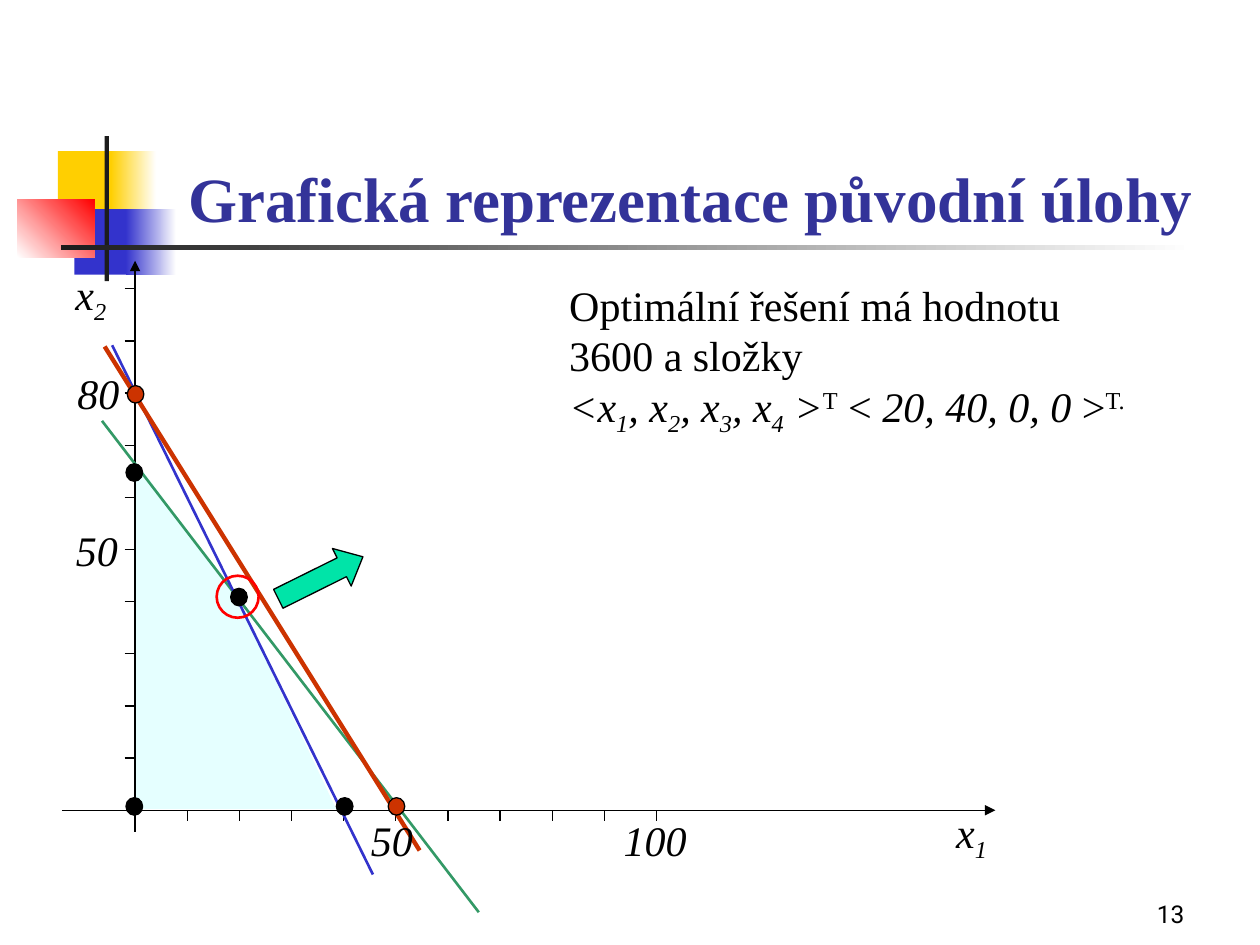
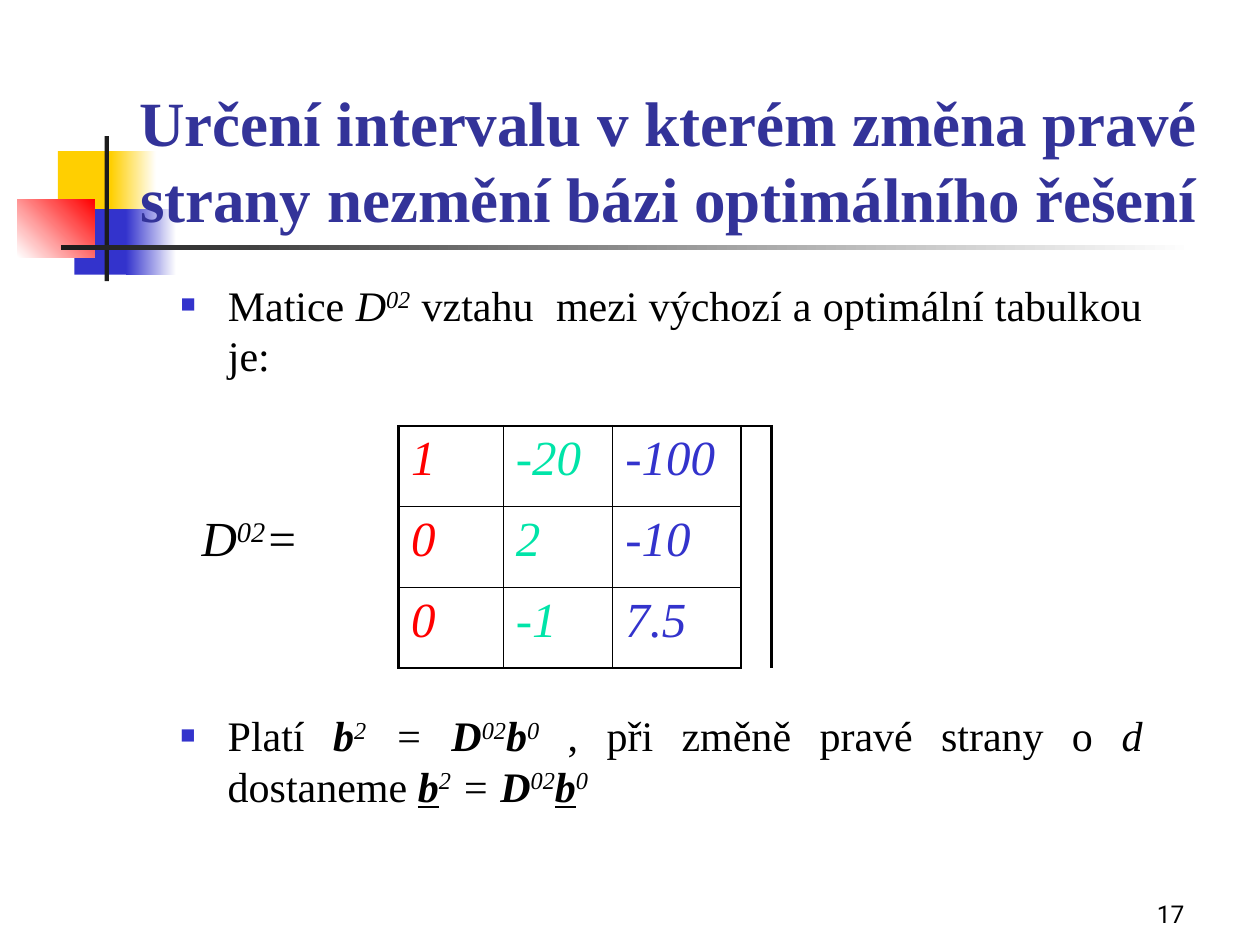
import pptx
import pptx.dml.color
import pptx.enum.dml
import pptx.enum.shapes
import pptx.enum.text
import pptx.oxml.ns
import pptx.util
from lxml import etree

Pt = pptx.util.Pt
qn = pptx.oxml.ns.qn
Shape = pptx.enum.shapes.MSO_SHAPE
Align = pptx.enum.text.PP_ALIGN
Anchor = pptx.enum.text.MSO_ANCHOR

BLACK, BLUE, RED, GREEN = "000000", "3333CC", "FF0000", "00E4A8"
YELLOW, WHITE, DARK, TITLE, RUST = "FFCF01", "FFFFFF", "1C1C1C", "333399", "CC3300"
SERIF = "Times New Roman"


def rgb(code):
    return pptx.dml.color.RGBColor.from_string(code)


def write(para, runs, size=24, color=BLACK, font=SERIF, align=Align.LEFT):
    para.alignment = align
    para.space_before = Pt(0)
    para.font.size = Pt(size)
    para.font.name = font
    para.font.color.rgb = rgb(color)
    para.font.bold = all("b" in marks for text, marks in runs)
    para.font.italic = all("i" in marks for text, marks in runs)
    for text, marks in runs:
        if text == "\n":
            para.add_line_break()
            continue
        span = para.add_run()
        span.text = text
        if "b" in marks and not para.font.bold:
            span.font.bold = True
        if "i" in marks and not para.font.italic:
            span.font.italic = True
        if "u" in marks:
            span.font.underline = True
        if "^" in marks:
            span._r.get_or_add_rPr().set("baseline", "30000")
        if "_" in marks:
            span._r.get_or_add_rPr().set("baseline", "-25000")


deck = pptx.Presentation()
deck.slide_width, deck.slide_height = Pt(720), Pt(540)
graph_page = deck.slides.add_slide(deck.slide_layouts[5])
matrix_page = deck.slides.add_slide(deck.slide_layouts[1])

master_tree = deck.slide_master.shapes.element
bands = [
    (33.1, 86.4, 34.6, 37.4, YELLOW, None, 0),
    (63.4, 86.4, 25.9, 37.4, YELLOW, WHITE, 0),
    (42.5, 119.5, 33.1, 37.4, BLUE, None, 0),
    (72, 119.5, 28.8, 37.4, BLUE, WHITE, 0),
    (10, 113.8, 44, 33.1, WHITE, RED, 45),
    (59.8, 77.8, 2.4, 82.8, DARK, None, 0),
    (34.6, 140.2, 648, 2.5, DARK, WHITE, 0),
]
for index, (left, top, width, height, start, end, angle) in enumerate(bands):
    band = graph_page.shapes.add_shape(Shape.RECTANGLE, Pt(left), Pt(top), Pt(width), Pt(height))
    band.shadow.inherit = False
    band.line.fill.background()
    if end:
        band.fill.gradient()
        band.fill.gradient_angle = angle
        for stop, code in zip(band.fill.gradient_stops, (start, end)):
            stop.color.rgb = rgb(code)
    else:
        band.fill.solid()
        band.fill.fore_color.rgb = rgb(start)
    band.element.xpath("./p:nvSpPr/p:cNvPr")[0].set("id", str(100 + index))
    master_tree.insert(2 + index, band.element)

pages = [
    (graph_page, "Grafická reprezentace původní úlohy", 88, 613, "13"),
    (matrix_page, "Určení intervalu v kterém změna pravé strany nezmění bázi optimálního řešení", 60, 644, "17"),
]
for page, heading, left, width, number in pages:
    title = page.shapes.title
    title.left, title.top, title.width, title.height = Pt(left), Pt(48), Pt(width), Pt(90)
    title.text_frame.auto_size = pptx.enum.text.MSO_AUTO_SIZE.NONE
    title.text_frame.vertical_anchor = Anchor.BOTTOM
    write(title.text_frame.paragraphs[0], [(heading, "b")], 36, TITLE, align=Align.CENTER)
    box = page.shapes.add_textbox(Pt(534), Pt(498), Pt(150), Pt(36))
    box.text_frame.word_wrap = True
    box.text_frame.vertical_anchor = Anchor.BOTTOM
    write(box.text_frame.paragraphs[0], [(number, "")], 14, font="Roboto", align=Align.RIGHT)

outline = graph_page.shapes.build_freeform(Pt(77.8), Pt(264), scale=1.0)
corners = [(77.8, 462.2), (192, 462.2), (134.6, 340.6)]
outline.add_line_segments([(Pt(x), Pt(y)) for x, y in corners], close=True)
region = outline.convert_to_shape()
region.shadow.inherit = False
region.line.fill.background()
region.fill.solid()
region.fill.fore_color.rgb = rgb("CCFFFF")
region_color = region.element.spPr.find(qn("a:solidFill")).find(qn("a:srgbClr"))
etree.SubElement(region_color, qn("a:alpha")).set("val", "50000")

origin_x, origin_y, step = 77.2, 463, 29.8
lines = [
    (origin_x, 475.2, origin_x, 149, BLACK, 0.75, True),
    (35.3, origin_y, 568.8, origin_y, BLACK, 0.75, True),
]
for tick in range(1, 11):
    x, y = origin_x + tick * step, origin_y - tick * step
    lines.append((x, origin_y, x, origin_y + 6, BLACK, 0.75, False))
    lines.append((origin_x - 6, y, origin_x, y, BLACK, 0.75, False))
lines += [
    (58.3, 240.5, 273.6, 521.3, "339966", 1.5, False),
    (64.1, 197.3, 213.1, 499.7, BLUE, 1.5, False),
    (59.8, 198, 239.8, 486, RUST, 2.5, False),
]
dots = [
    (72, 265, BLACK), (72.7, 220.3, RUST), (221.8, 455.8, RUST),
    (131.8, 336.2, BLACK), (192.2, 455.8, BLACK), (72, 455.8, BLACK),
]
shapes = [(Shape.OVAL, x, y, 9.5, 10, code, BLACK, 0.75) for x, y, code in dots]
shapes += [
    (Shape.RIGHT_ARROW, 156.2, 318.2, 54, 24, GREEN, BLACK, 0.75),
    (Shape.OVAL, 123.8, 329, 24, 24, None, RED, 1.5),
]

for x1, y1, x2, y2, code, weight, arrow in lines:
    line = graph_page.shapes.add_connector(
        pptx.enum.shapes.MSO_CONNECTOR.STRAIGHT, Pt(x1), Pt(y1), Pt(x2), Pt(y2))
    line.line.color.rgb = rgb(code)
    line.line.width = Pt(weight)
    if arrow:
        etree.SubElement(line.line._get_or_add_ln(), qn("a:tailEnd")).set("type", "triangle")
    etree.SubElement(line.element.spPr, qn("a:effectLst"))

for kind, left, top, width, height, fill, edge, weight in shapes:
    shape = graph_page.shapes.add_shape(kind, Pt(left), Pt(top), Pt(width), Pt(height))
    shape.shadow.inherit = False
    shape.line.color.rgb = rgb(edge)
    shape.line.width = Pt(weight)
    if fill:
        shape.fill.solid()
        shape.fill.fore_color.rgb = rgb(fill)
    else:
        shape.fill.background()
    if kind == Shape.RIGHT_ARROW:
        shape.rotation = 333.6
        shape.adjustments[1] = 0.56

solution = [("Optimální řešení má hodnotu 3600 a složky ", ""), ("\n", ""), ("<x", "i")]
for index in "123":
    solution += [(index, "i_"), (", x", "i")]
solution += [("4", "i_"), (" >", "i"), ("T", "^"), (" < ", ""), ("20, 40, 0, 0", "i"), (" >", ""), ("T.", "^")]
labels = [
    (539.3, 457.2, 78, 40, Align.LEFT, [("x", "i"), ("1", "i_")]),
    (36, 149.8, 78, 40, Align.LEFT, [("x", "i"), ("2", "i_")]),
    (188, 462.2, 72, 36, Align.CENTER, [("50", "i")]),
    (19.4, 296, 72, 36, Align.CENTER, [("50", "i")]),
    (338.4, 462.2, 72, 36, Align.CENTER, [("100", "i")]),
    (20.2, 206.6, 72, 36, Align.CENTER, [("80", "i")]),
    (318.2, 156.2, 342, 98, Align.LEFT, solution),
]
for left, top, width, height, align, runs in labels:
    box = graph_page.shapes.add_textbox(Pt(left), Pt(top), Pt(width), Pt(height))
    box.text_frame.word_wrap = True
    write(box.text_frame.paragraphs[0], runs, align=align)

body = matrix_page.placeholders[1]
body.left, body.top, body.width, body.height = Pt(96), Pt(156), Pt(564), Pt(78)
body.text_frame.auto_size = pptx.enum.text.MSO_AUTO_SIZE.NONE
note = matrix_page.shapes.add_textbox(Pt(96), Pt(402), Pt(564), Pt(78))
note.text_frame.word_wrap = True
matrix_runs = [("Matice ", ""), ("D", "i"), ("02", "i^"), (" vztahu  mezi výchozí a optimální tabulkou je:", "")]
change_runs = [
    ("Platí ", ""), ("b", "bi"), ("2", "i^"), (" = ", "i"), ("D", "bi"), ("02", "i^"),
    ("b", "bi"), ("0", "i^"), (" , při změně pravé strany o ", ""), ("d", "i"), (" dostaneme ", ""),
    ("b", "biu"), ("2", "i^"), (" = ", "i"), ("D", "bi"), ("02", "i^"), ("b", "biu"), ("0", "i^"),
]
for box, runs in ((body, matrix_runs), (note, change_runs)):
    para = box.text_frame.paragraphs[0]
    properties = para._p.get_or_add_pPr()
    properties.set("marL", str(Pt(27)))
    properties.set("indent", str(-Pt(27)))
    bullet_color = etree.SubElement(properties, qn("a:buClr"))
    etree.SubElement(bullet_color, qn("a:srgbClr")).set("val", BLUE)
    etree.SubElement(properties, qn("a:buSzPct")).set("val", "60000")
    etree.SubElement(properties, qn("a:buFont")).set("typeface", SERIF)
    etree.SubElement(properties, qn("a:buChar")).set("char", "■")
    write(para, runs, align=Align.JUSTIFY)

widths = [78, 41.8, 59.8, 48.2, 14.4, 33.8, 39.6, 17.3, 77.8, 83.5]
frame = matrix_page.shapes.add_table(4, 10, Pt(108), Pt(198), Pt(sum(widths)), Pt(184))
table = frame.table
table.first_row = table.horz_banding = False
table._tbl.tblPr.find(qn("a:tableStyleId")).text = "{2D5ABB26-0587-4C30-8999-92F81FD0307C}"
for column, width in zip(table.columns, widths):
    column.width = Pt(width)
for row, height in zip(table.rows, (45.4, 46.2, 46.2, 46.2)):
    row.height = Pt(height)

THICK, THIN = 1.47, 0.45
edges = [(0, column, "lnB", THICK) for column in range(2, 8)]
matrix = [["1", "-20", "-100"], ["0", "2", "-10"], ["0", "-1", "7.5"]]
for row, values in enumerate(matrix, 1):
    edges += [(row, 1, "lnR", THICK), (row, 7, "lnL", THICK)]
    for column, value, code in zip((2, 3, 5), values, (RED, GREEN, BLUE)):
        write(table.cell(row, column).text_frame.paragraphs[0], [(value, "i")], 28, code)
        outer = {"lnL": column == 2, "lnR": column == 5, "lnT": row == 1, "lnB": row == 3}
        edges += [(row, column, side, THICK if thick else THIN) for side, thick in outer.items()]
name = table.cell(2, 0).text_frame.paragraphs[0]
write(name, [("D", "i"), ("02", "i^"), ("=", "i")], 28)

for row, column, side, weight in edges:
    border = etree.SubElement(table.cell(row, column)._tc.get_or_add_tcPr(), qn("a:" + side))
    border.set("w", str(Pt(weight)))
    border_fill = etree.SubElement(border, qn("a:solidFill"))
    etree.SubElement(border_fill, qn("a:srgbClr")).set("val", BLACK)
for cell in table.iter_cells():
    cell.fill.background()
for row in range(4):
    for column in ((3, 5) if row else (4, 6)):
        table.cell(row, column).merge(table.cell(row, column + 1))

deck.save("out.pptx")
